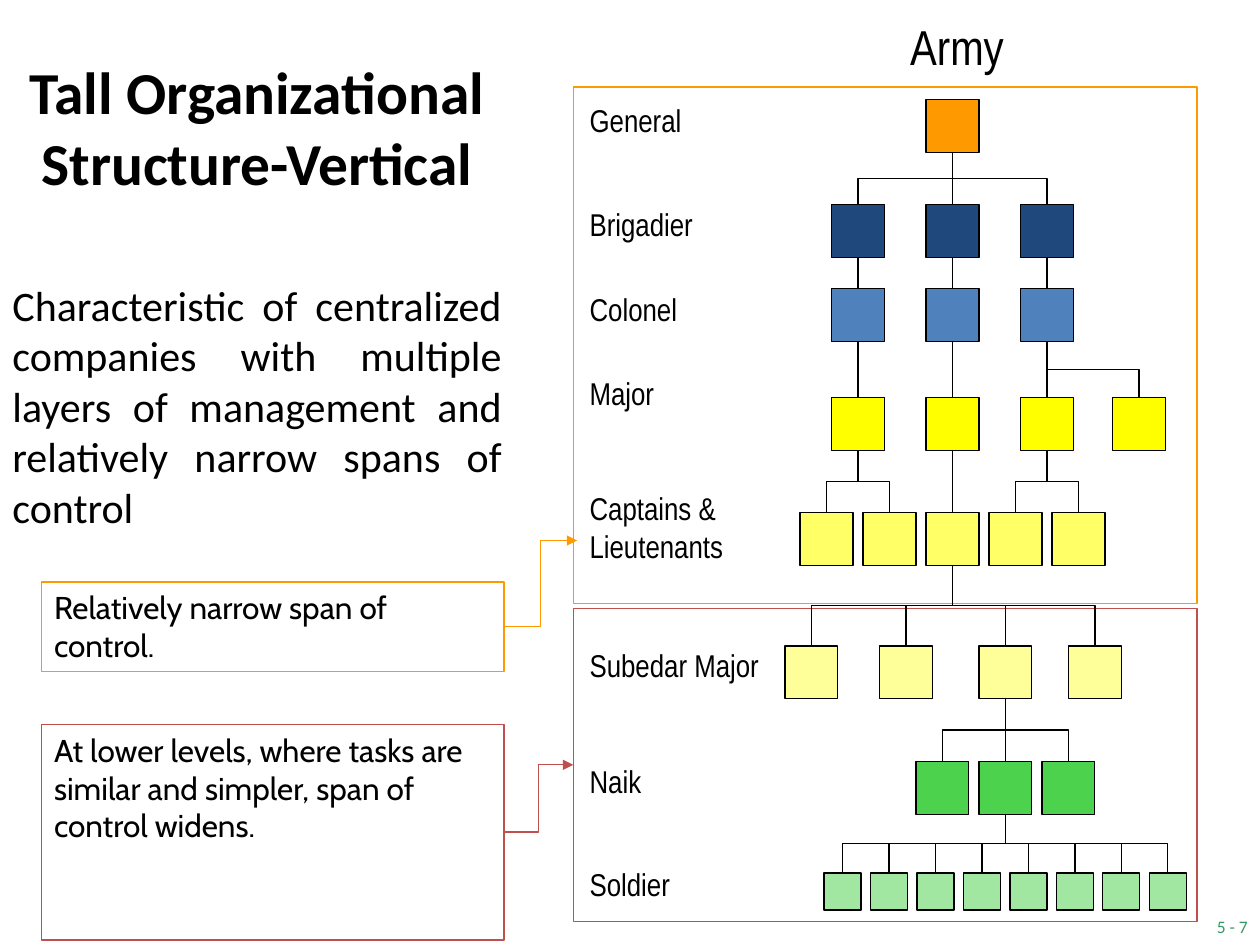
"""Build a slide on the tall, vertical organizational structure of an army."""
from lxml import etree
from pptx import Presentation
from pptx.dml.color import RGBColor
from pptx.enum.shapes import MSO_CONNECTOR, MSO_SHAPE
from pptx.enum.text import MSO_ANCHOR, MSO_AUTO_SIZE, PP_ALIGN
from pptx.oxml.ns import qn
from pptx.util import Pt

RECT = MSO_SHAPE.RECTANGLE
STRAIGHT, ELBOW = MSO_CONNECTOR.STRAIGHT, MSO_CONNECTOR.ELBOW
LEFT, CENTER, JUSTIFY = PP_ALIGN.LEFT, PP_ALIGN.CENTER, PP_ALIGN.JUSTIFY
TOP, MIDDLE = MSO_ANCHOR.TOP, MSO_ANCHOR.MIDDLE
NO_AUTOFIT = MSO_AUTO_SIZE.NONE

BLACK = RGBColor(0x00, 0x00, 0x00)
WHITE = RGBColor(0xFF, 0xFF, 0xFF)
ORANGE = RGBColor(0xFF, 0x99, 0x00)
RED = RGBColor(0xC0, 0x50, 0x4D)
NAVY = RGBColor(0x1F, 0x49, 0x7D)
BLUE = RGBColor(0x4F, 0x81, 0xBD)
YELLOW = RGBColor(0xFF, 0xFF, 0x00)
LIGHT_YELLOW = RGBColor(0xFF, 0xFF, 0x66)
PALE_YELLOW = RGBColor(0xFF, 0xFF, 0x99)
GREEN = RGBColor(0x4C, 0xD2, 0x4C)
PALE_GREEN = RGBColor(0xA1, 0xE7, 0xA1)
NUMBER_GREEN = RGBColor(0x33, 0x99, 0x66)

prs = Presentation()
prs.slide_width, prs.slide_height = Pt(720), Pt(540)
slide = prs.slides.add_slide(prs.slide_layouts[5])
shapes = slide.shapes


def write(tf, text, size=18, font="Arial Narrow", color=BLACK, bold=False,
          align=LEFT, anchor=TOP, wrap=True):
    tf.word_wrap = wrap
    tf.auto_size = NO_AUTOFIT
    tf.vertical_anchor = anchor
    p = tf.paragraphs[0]
    p.alignment = align
    r = p.add_run()
    r.text = text
    r.font.size, r.font.name, r.font.bold = Pt(size), font, bold
    r.font.color.rgb = color


def add_box(left, top, width, height, line=BLACK, fill=None):
    s = shapes.add_shape(RECT, Pt(left), Pt(top), Pt(width), Pt(height))
    s.shadow.inherit = False
    s.line.color.rgb = line
    s.line.width = Pt(0.75)
    if fill is None:
        s.fill.background()
    else:
        s.fill.solid()
        s.fill.fore_color.rgb = fill
    return s


lower_frame = add_box(327.6, 347.8, 356.4, 178.6, line=RED, fill=WHITE)
add_box(327.6, 49.7, 356.4, 295.2, line=ORANGE, fill=WHITE)

title = shapes.title
title.left, title.top, title.width, title.height = Pt(0), Pt(-5.8), Pt(293.8), Pt(156.2)
write(title.text_frame, "Tall Organizational Structure-Vertical", size=34,
      font="Calibri", bold=True, align=CENTER, anchor=MIDDLE)

s = shapes.add_textbox(Pt(0), Pt(156.2), Pt(293.8), Pt(156.2))
write(s.text_frame, "Characteristic of centralized companies with multiple layers of "
      "management and relatively narrow spans of control",
      size=24, font="Calibri", align=JUSTIFY)

s = shapes.add_textbox(Pt(434.9), Pt(5.8), Pt(218.9), Pt(41))
write(s.text_frame, " Army", size=28, align=CENTER)

s = shapes.add_textbox(Pt(688.3), Pt(523.4), Pt(31.7), Pt(17.3))
tf = s.text_frame
tf.margin_left = tf.margin_top = tf.margin_right = tf.margin_bottom = 0
write(tf, "5 - 7", size=10, font="Calibri", color=NUMBER_GREEN, align=CENTER, wrap=False)

columns = [475.2, 529.2, 583.2]
ranks = [
    ("General", 54, 56.9, 30.2, ORANGE, [529.2], []),
    ("Brigadier", 113.8, 116.9, 30.2, NAVY, columns, [0, 0, 0]),
    ("Colonel", 162, 164.9, 30.2, BLUE, columns, [0, 1, 2]),
    ("Major", 210.2, 227.3, 30.2, YELLOW, columns + [635.8], [0, 1, 2, 2]),
    ("Captains & Lieutenants", 275.8, 293, 30.2, LIGHT_YELLOW,
     [457.2 + 36 * i for i in range(5)], [0, 0, 1, 2, 2]),
    ("Subedar Major", 365.8, 369.1, 30.2, PALE_YELLOW,
     [448.6, 502.6, 559.4, 610.6], [2] * 4),
    ("Naik", 432, 435.1, 30.2, GREEN, [523.4 + 36 * i for i in range(3)], [2] * 3),
    ("Soldier", 491, 498.8, 21.2, PALE_GREEN,
     [470.9 + 26.55 * i for i in range(8)], [1] * 8),
]

links = []
above = []
for name, label_top, top, size, color, lefts, parents in ranks:
    s = shapes.add_textbox(Pt(329.8), Pt(label_top), Pt(126), Pt(36))
    write(s.text_frame, name)
    row = [add_box(left, top, size, size, fill=color) for left in lefts]
    for child, parent in zip(row, parents):
        boss = above[parent]
        x1, y1 = boss.left + boss.width // 2, boss.top + boss.height
        x2, y2 = child.left + child.width // 2, child.top
        straight = abs(x2 - x1) < Pt(1)
        cxn = shapes.add_connector(STRAIGHT if straight else ELBOW, x1, y1, x2, y2)
        cxn.begin_connect(boss, 2)
        cxn.end_connect(child, 0)
        if not straight:
            run, drop = abs(x2 - x1), y2 - y1
            cxn.left, cxn.top = (x1 + x2 - drop) // 2, (y1 + y2 - run) // 2
            cxn.width, cxn.height = drop, run
            xfrm = cxn._element.spPr.find(qn("a:xfrm"))
            xfrm.set("rot", "5400000" if x2 < x1 else "16200000")
            xfrm.set("flipH", "0" if x2 < x1 else "1")
        links.append((cxn, BLACK))
    above = row

callouts = [
    ("Relatively narrow span of control.", 332.6, 51.1, ORANGE, 329.8, 308.9, None),
    ("At lower levels, where tasks are similar and simpler, span of control widens.",
     414, 123.1, RED, 327.6, 437.1, lower_frame),
]
for text, top, height, color, x, y, target in callouts:
    s = add_box(23.8, top, 264.2, height, line=color)
    write(s.text_frame, text, font="Cabin")
    cxn = shapes.add_connector(ELBOW, Pt(288), Pt(top + height / 2), Pt(x), Pt(y))
    cxn.begin_connect(s, 3)
    if target is not None:
        cxn.end_connect(target, 1)
    links.append((cxn, color))

for cxn, color in links:
    cxn.line.color.rgb = color
    cxn.line.width = Pt(0.75)
    if color != BLACK:
        etree.SubElement(cxn.line._get_or_add_ln(), qn("a:tailEnd"), type="triangle")
    etree.SubElement(cxn._element.spPr, qn("a:effectLst"))

prs.save("out.pptx")
